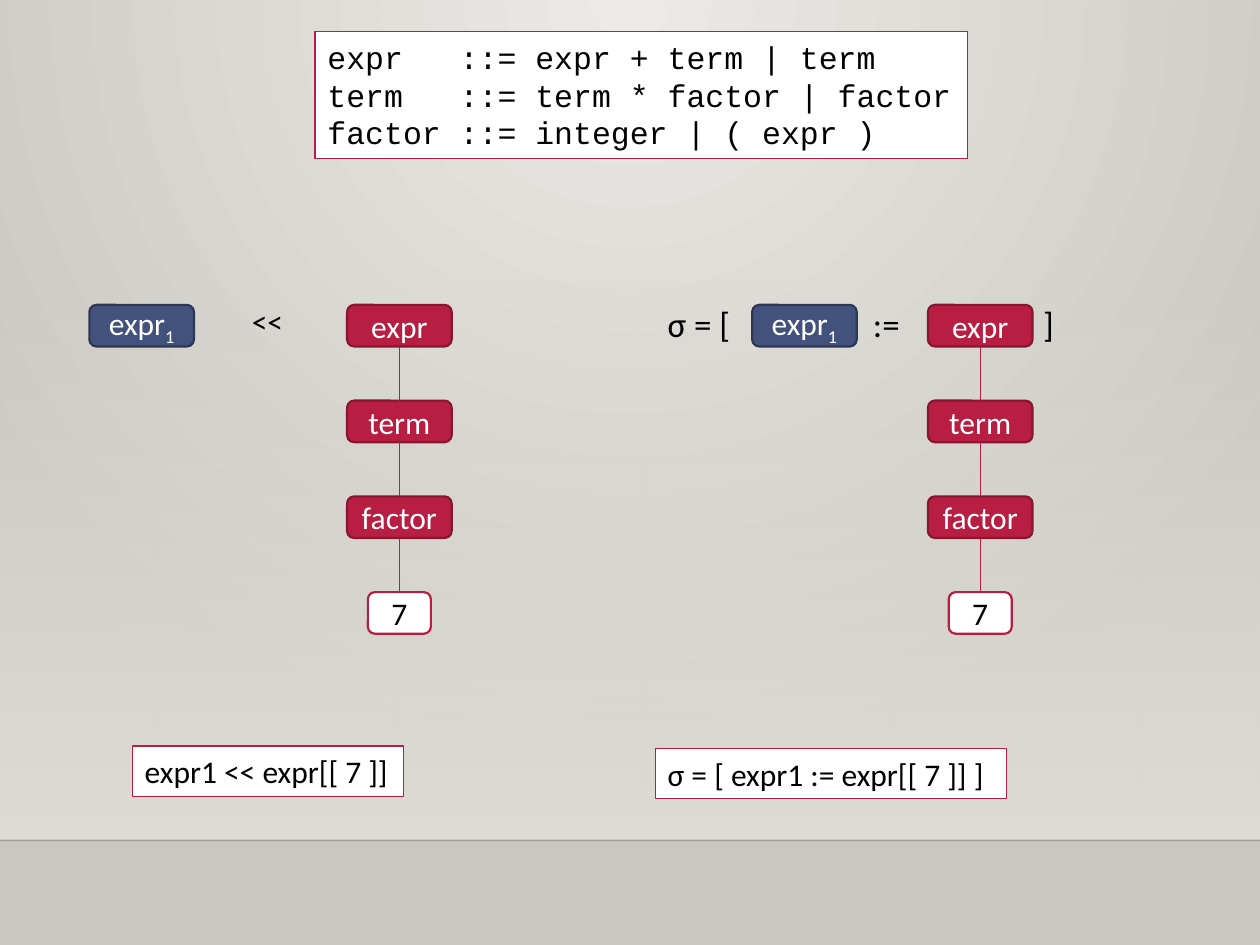
from dataclasses import dataclass

from lxml import etree
from pptx import Presentation
from pptx.dml.color import RGBColor
from pptx.enum.shapes import MSO_CONNECTOR, MSO_SHAPE
from pptx.enum.text import MSO_ANCHOR, MSO_AUTO_SIZE, PP_ALIGN
from pptx.oxml.ns import qn
from pptx.util import Inches, Pt

RECT, ROUND = MSO_SHAPE.RECTANGLE, MSO_SHAPE.ROUNDED_RECTANGLE
STRAIGHT = MSO_CONNECTOR.STRAIGHT
TOP, MIDDLE = MSO_ANCHOR.TOP, MSO_ANCHOR.MIDDLE
LEFT, CENTER = PP_ALIGN.LEFT, PP_ALIGN.CENTER
GROW = MSO_AUTO_SIZE.SHAPE_TO_FIT_TEXT


@dataclass(frozen=True)
class Theme:
    red: RGBColor = RGBColor.from_string("B71E42")
    dark_red: RGBColor = RGBColor.from_string("871631")
    blue: RGBColor = RGBColor.from_string("42527C")
    dark_blue: RGBColor = RGBColor.from_string("2C3753")
    white: RGBColor = RGBColor.from_string("FFFFFF")
    black: RGBColor = RGBColor.from_string("000000")
    horizon: RGBColor = RGBColor.from_string("000001")
    glow: RGBColor = RGBColor.from_string("ECEAE7")
    stone: RGBColor = RGBColor.from_string("CAC7C1")
    wall: RGBColor = RGBColor.from_string("DFDBD5")
    body: Pt = Pt(18)
    formula: Pt = Pt(20)
    sans: str = "Calibri"
    mono: str = "Courier New"


theme = Theme()


def add_box(shapes, kind, place, fill, outline, weight):
    box = shapes.add_shape(kind, *(Inches(length) for length in place))
    box.shadow.inherit = False
    box.fill.solid()
    box.fill.fore_color.rgb = fill
    box.line.color.rgb = outline
    box.line.width = Pt(weight)
    return box


def write(box, lines, color, align=LEFT, anchor=TOP, wrap=False, size=theme.body, face=theme.sans):
    frame = box.text_frame
    frame.word_wrap = wrap
    frame.vertical_anchor = anchor
    for index, line in enumerate(lines):
        paragraph = frame.add_paragraph() if index else frame.paragraphs[0]
        paragraph.add_run().text = line
        paragraph.alignment = align
        paragraph.font.size = size
        paragraph.font.name = face
        paragraph.font.color.rgb = color
    return frame


deck = Presentation()
deck.slide_width, deck.slide_height = Inches(10), Inches(7.5)
slide = deck.slides.add_slide(deck.slide_layouts[6])

backdrop = slide.background.fill
backdrop.gradient()
for stop, color, position in zip(backdrop.gradient_stops, (theme.glow, theme.stone), (0, 1)):
    stop.color.rgb = color
    stop.position = position
gradient = slide.element.find(".//" + qn("a:gradFill"))
gradient.remove(gradient.find(qn("a:lin")))
circle = etree.SubElement(gradient, qn("a:path"), {"path": "circle"})
etree.SubElement(circle, qn("a:fillToRect"), {"l": "43000", "r": "43000", "b": "100000"})

wall = slide.shapes.add_shape(RECT, 0, Inches(2.2), Inches(10), Inches(4.46))
wall.shadow.inherit = False
wall.line.fill.background()
wall.fill.gradient()
wall.fill.gradient_angle = 270
for stop, position in zip(wall.fill.gradient_stops, (0, 1)):
    stop.color.rgb = theme.wall
    stop.position = position
clear_color = wall.element.find(".//" + qn("a:gs")).find(qn("a:srgbClr"))
etree.SubElement(clear_color, qn("a:alpha"), {"val": "0"})

horizon = slide.shapes.add_connector(STRAIGHT, 0, Inches(6.67), Inches(10), Inches(6.67))
horizon.line.color.rgb = theme.horizon
horizon.line.width = Pt(1)
horizon_color = horizon.element.spPr.find(".//" + qn("a:srgbClr"))
etree.SubElement(horizon_color, qn("a:alpha"), {"val": "20000"})
etree.SubElement(horizon.element.spPr, qn("a:effectLst"))

grammar = [
    "expr   ::= expr + term | term",
    "term   ::= term * factor | factor",
    "factor ::= integer | ( expr )",
]
for place, lines, face in (
    ((2.5, 0.25, 5.18, 1.01), grammar, theme.mono),
    ((1.05, 5.92, 2.15, 0.4), ["expr1 << expr[[ 7 ]]"], theme.sans),
    ((5.2, 5.94, 2.79, 0.4), ["σ = [ expr1 := expr[[ 7 ]] ]"], theme.sans),
):
    panel = add_box(slide.shapes, RECT, place, theme.white, theme.red, 0.75)
    write(panel, lines, theme.black, face=face).auto_size = GROW

match_sign = slide.shapes.add_textbox(Inches(1.9), Inches(2.35), Inches(0.45), Inches(0.4))
write(match_sign, ["<<"], theme.black).auto_size = GROW

match_tree = slide.shapes.add_group_shape().shapes
substitution = slide.shapes.add_group_shape().shapes

formula = substitution.add_textbox(Inches(5.2), Inches(2.35), Inches(3.55), Inches(0.44))
tabs = etree.SubElement(formula.text_frame.paragraphs[0]._p.get_or_add_pPr(), qn("a:tabLst"))
for tab in (1.63, 2.98):
    etree.SubElement(tabs, qn("a:tab"), {"pos": str(Inches(tab)), "algn": "l"})
write(formula, ["σ = [\t:=\t]"], theme.black, wrap=True, size=theme.formula).auto_size = GROW

node_width, node_height, leaf_width = 0.83, 0.33, 0.5
tree_top, level_step = 2.42, 0.76

for shapes, center in ((match_tree, 3.17), (substitution, 7.78)):
    nodes = []
    for level, symbol in enumerate(("expr", "term", "factor", "7")):
        if symbol == "7":
            width, fill, outline, ink = leaf_width, theme.white, theme.red, theme.black
        else:
            width, fill, outline, ink = node_width, theme.red, theme.dark_red, theme.white
        place = (center - width / 2, tree_top + level * level_step, width, node_height)
        node = add_box(shapes, ROUND, place, fill, outline, 1.25)
        write(node, [symbol], ink, CENTER, MIDDLE, True)
        nodes.append(node)
    for parent, child in zip(nodes, nodes[1:]):
        branch = shapes.add_connector(STRAIGHT, 0, 0, 0, 0)
        branch.begin_connect(parent, 2)
        branch.end_connect(child, 0)
        branch.line.color.rgb = theme.red
        branch.line.width = Pt(0.75)
        etree.SubElement(branch.element.spPr, qn("a:effectLst"))

for shapes, left in ((slide.shapes, 0.71), (substitution, 5.97)):
    place = (left, tree_top, node_width, node_height)
    variable = add_box(shapes, ROUND, place, theme.blue, theme.dark_blue, 1.25)
    name = write(variable, ["expr"], theme.white, CENTER, MIDDLE, True).paragraphs[0]
    subscript = name.add_run()
    subscript.text = "1"
    subscript._r.get_or_add_rPr().set("baseline", "-25000")

deck.save("out.pptx")
